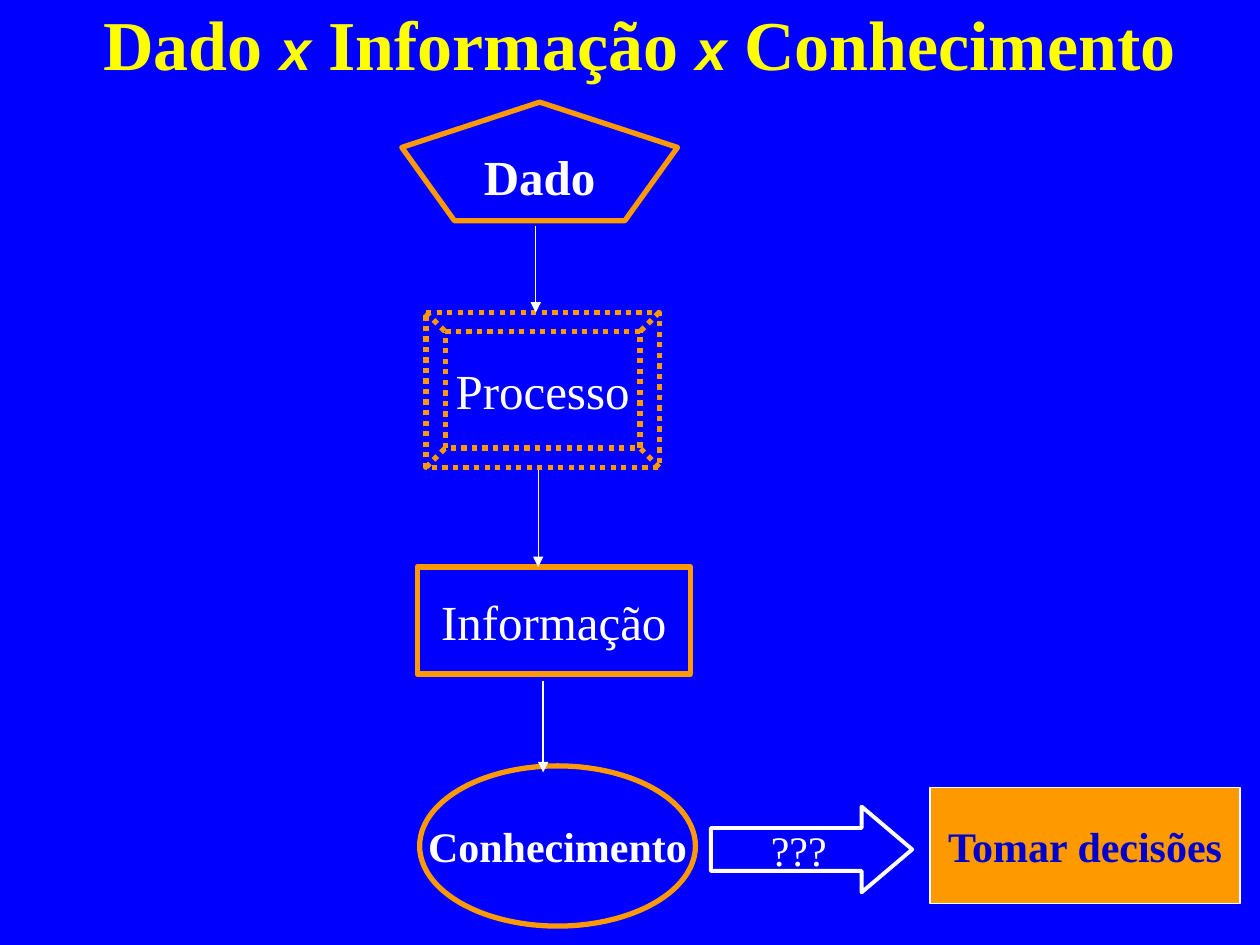
from dataclasses import dataclass
from typing import Optional

from lxml import etree
from pptx import Presentation
from pptx import util as u
from pptx.dml.color import RGBColor
from pptx.enum import dml, shapes, text
from pptx.oxml.ns import qn


@dataclass(frozen=True)
class Theme:
    background: str = "0000FF"
    title: str = "FFFF00"
    accent: str = "FF9900"
    light: str = "FFFFFF"
    decision: str = "0000CC"
    serif: str = "Times New Roman"
    sans: str = "Arial"
    title_size: int = 40
    cross_size: int = 32
    large: int = 28
    small: int = 24
    thin: float = 0.75
    medium: float = 2.25
    thick: float = 3


T = Theme()
S = shapes.MSO_SHAPE


@dataclass(frozen=True)
class Node:
    """One labelled flow shape; lengths in centimetres."""
    label: str
    kind: shapes.MSO_SHAPE
    left: float
    top: float
    width: float
    height: float
    size: int = T.large
    bold: bool = False
    color: str = T.light
    line: str = T.accent
    weight: float = T.thick
    dash: Optional[dml.MSO_LINE] = None
    fill: Optional[str] = None
    adjustments: tuple[float, ...] = ()


@dataclass(frozen=True)
class Arrow:
    """A downward arrow; lengths in centimetres."""
    x: float
    top: float
    bottom: float


NODES = [
    Node("Processo", S.BEVEL, 8.59, 6.3, 4.7, 3.12,
         dash=dml.MSO_LINE.ROUND_DOT, adjustments=(0.125,)),
    Node("Informação", S.RECTANGLE, 8.41, 11.43, 5.51, 2.16),
    Node("Conhecimento", S.OVAL, 8.46, 15.44, 5.56, 3.23, T.small, True),
    Node("Dado", S.REGULAR_PENTAGON, 8.1, 2.06, 5.56, 2.39, bold=True),
    Node("???", S.RIGHT_ARROW, 14.33, 16.26, 4.06, 1.73, T.small,
         line=T.light, weight=T.medium, adjustments=(0.5, 0.59)),
    Node("Tomar decisões", S.RECTANGLE, 18.75, 15.88, 6.25, 2.34, T.small, True,
         color=T.decision, line=T.light, weight=T.thin, fill=T.accent),
]
ARROWS = [Arrow(10.8, 4.55, 6.3), Arrow(10.85, 9.47, 11.43), Arrow(10.95, 13.72, 15.57)]


def rgb(color: str) -> RGBColor:
    return RGBColor.from_string(color)


def add_run(p, words: str, size: int, color: str, font: str = T.serif,
            bold: bool = False, italic: bool = False) -> None:
    r = p.add_run()
    r.text = words
    f = r.font
    f.name, f.size, f.bold, f.italic = font, u.Pt(size), bold, italic
    f.color.rgb = rgb(color)


def add_title(s) -> None:
    sp = s.shapes.title
    sp.left, sp.top, sp.width, sp.height = u.Cm(0), u.Cm(-0.53), u.Cm(24.71), u.Cm(2.79)
    tf = sp.text_frame
    tf.auto_size = text.MSO_AUTO_SIZE.NONE
    tf.vertical_anchor = text.MSO_ANCHOR.MIDDLE
    tf.margin_left = u.Cm(1.32)
    p = tf.paragraphs[0]
    p.alignment = text.PP_ALIGN.CENTER
    for words in ("Dado ", "x", " Informação ", "x", " Conhecimento"):
        if words == "x":
            add_run(p, words, T.cross_size, T.title, T.sans, bold=True, italic=True)
        else:
            add_run(p, words, T.title_size, T.title, bold=True)


def add_node(s, node: Node) -> None:
    box = (u.Cm(n) for n in (node.left, node.top, node.width, node.height))
    sp = s.shapes.add_shape(node.kind, *box)
    sp.shadow.inherit = False
    for i, value in enumerate(node.adjustments):
        sp.adjustments[i] = value
    if node.fill:
        sp.fill.solid()
        sp.fill.fore_color.rgb = rgb(node.fill)
    else:
        sp.fill.background()
    sp.line.color.rgb = rgb(node.line)
    sp.line.width = u.Pt(node.weight)
    if node.dash:
        sp.line.dash_style = node.dash
    tf = sp.text_frame
    tf.word_wrap = False
    tf.vertical_anchor = text.MSO_ANCHOR.MIDDLE
    p = tf.paragraphs[0]
    p.alignment = text.PP_ALIGN.CENTER
    add_run(p, node.label, node.size, node.color, bold=node.bold)


def add_arrow(s, arrow: Arrow) -> None:
    x = u.Cm(arrow.x)
    cx = s.shapes.add_connector(shapes.MSO_CONNECTOR.STRAIGHT,
                                x, u.Cm(arrow.top), x, u.Cm(arrow.bottom))
    cx.line.color.rgb = rgb(T.light)
    cx.line.width = u.Pt(T.thin)
    etree.SubElement(cx.line._get_or_add_ln(), qn("a:tailEnd"), type="triangle")
    etree.SubElement(cx._element.spPr, qn("a:effectLst"))


def main() -> None:
    prs = Presentation()
    prs.slide_width, prs.slide_height = u.Cm(25.4), u.Cm(19.05)
    s = prs.slides.add_slide(prs.slide_layouts[5])
    s.background.fill.solid()
    s.background.fill.fore_color.rgb = rgb(T.background)
    add_title(s)
    for node in NODES:
        add_node(s, node)
    for arrow in ARROWS:
        add_arrow(s, arrow)
    prs.save("out.pptx")


if __name__ == "__main__":
    main()
